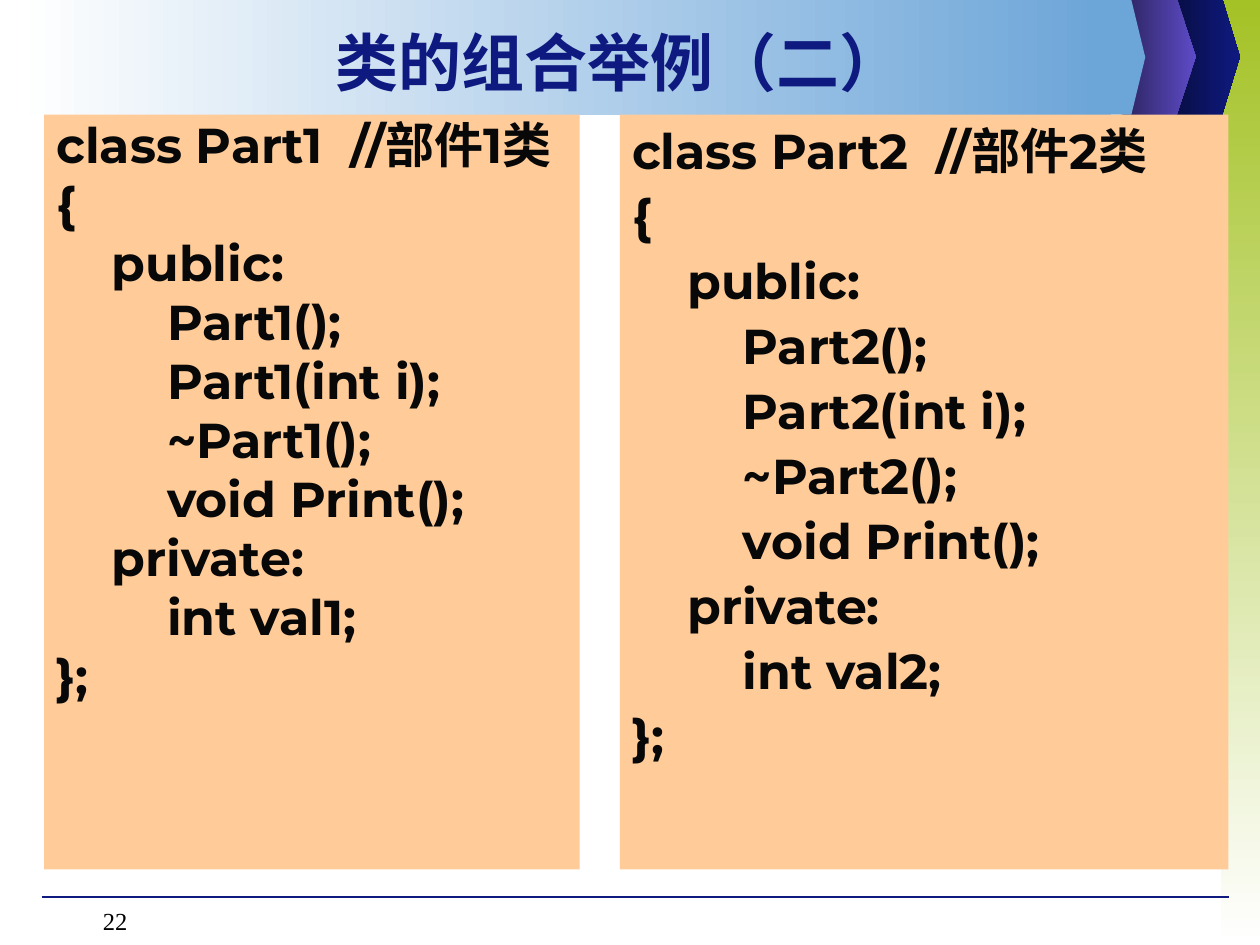
from dataclasses import dataclass

from lxml.etree import SubElement
from pptx import Presentation
from pptx.dml.color import RGBColor
from pptx.enum.shapes import MSO_CONNECTOR as Connector, MSO_SHAPE as Preset
from pptx.enum.text import MSO_ANCHOR as Anchor, PP_ALIGN as Align
from pptx.oxml.ns import qn
from pptx.util import Emu, Inches, Pt

# The slide is a grid of 100 columns by 75 rows
WIDTH, HEIGHT = Inches(10), Inches(7.5)
COLUMNS, ROWS = 100, 75
NAVY, SKY, PEACH, INK = "0F1A81", "6CA5D8", "FFCC99", "080808"
BAND_BOTTOM = 9.1
DOWN, RIGHTWARD = 270, 0


@dataclass
class Area:
    left: float
    top: float
    width: float
    height: float


@dataclass
class Chevron:
    left: float
    shoulder: float
    tip: float
    top: float
    colors: tuple[str, ...]


@dataclass
class TextStyle:
    size: float
    font: str
    color: str
    bold: bool = False
    align: Align = Align.LEFT


@dataclass
class CodePanel:
    area: Area
    number: int
    line_spacing: float


CHEVRONS = [
    Chevron(92.5, 97, 98.4, -0.1, ("070C3C", NAVY)),
    Chevron(89, 93.4, 94.9, -0.1, ("2B235C", "5D4BC7")),
]
BAND_END = Chevron(86.3, 89.8, 90.9, 0, (SKY,))
PANELS = [
    CodePanel(Area(3.5, 9.1, 42.5, 59.9), 1, 0.9),
    CodePanel(Area(49.2, 9.1, 48.3, 59.9), 2, 1.0),
]
TITLE_STYLE = TextStyle(36, "Noto Sans CJK SC", NAVY, True, Align.CENTER)
CODE_STYLE = TextStyle(28, "Montserrat", INK, True)
NUMBER_STYLE = TextStyle(14, "Times New Roman", "000000", False, Align.RIGHT)

CODE = """class Part{n}  //部件{n}类
{{
    public:
        Part{n}();
        Part{n}(int i);
        ~Part{n}();
        void Print();
    private:
        int val{n};
}};"""


def x(column: float) -> Emu:
    return Emu(round(WIDTH * column / COLUMNS))


def y(row: float) -> Emu:
    return Emu(round(HEIGHT * row / ROWS))


def place(area: Area) -> tuple[Emu, Emu, Emu, Emu]:
    return x(area.left), y(area.top), x(area.width), y(area.height)


def rgb(color: str) -> RGBColor:
    return RGBColor.from_string(color)


def paint(shape, colors: tuple[str, ...], angle: float = RIGHTWARD) -> None:
    """One colour gives a solid fill, two give a gradient."""
    shape.shadow.inherit = False
    shape.line.fill.background()
    if len(colors) == 1:
        shape.fill.solid()
        shape.fill.fore_color.rgb = rgb(colors[0])
        return
    shape.fill.gradient()
    shape.fill.gradient_angle = angle
    for stop, color in zip(shape.fill.gradient_stops, colors):
        stop.color.rgb = rgb(color)


def add_block(slide, area: Area, colors: tuple[str, ...], angle: float = RIGHTWARD):
    block = slide.shapes.add_shape(Preset.RECTANGLE, *place(area))
    paint(block, colors, angle)
    return block


def add_chevron(slide, chevron: Chevron) -> None:
    middle = (chevron.top + BAND_BOTTOM) / 2
    corners = [
        (chevron.shoulder, chevron.top),
        (chevron.tip, middle),
        (chevron.shoulder, BAND_BOTTOM),
        (chevron.left, BAND_BOTTOM),
    ]
    builder = slide.shapes.build_freeform(x(chevron.left), y(chevron.top))
    builder.add_line_segments([(x(column), y(row)) for column, row in corners])
    paint(builder.convert_to_shape(), chevron.colors)


def add_rule(slide, left: float, right: float, row: float) -> None:
    rule = slide.shapes.add_connector(Connector.STRAIGHT, x(left), y(row), x(right), y(row))
    rule.line.color.rgb = rgb(NAVY)
    rule.line.width = Pt(0.75)
    SubElement(rule._element.spPr, qn("a:effectLst"))


def write(box, text: str, style: TextStyle, anchor: Anchor = Anchor.TOP) -> None:
    frame = box.text_frame
    frame.word_wrap = True
    frame.vertical_anchor = anchor
    frame.text = text
    for para in frame.paragraphs:
        para.alignment = style.align
        for span in para.runs:
            span.font.size = Pt(style.size)
            span.font.bold = style.bold
            span.font.color.rgb = rgb(style.color)
            span.font.name = style.font
            east_asian = SubElement(span.font._element, qn("a:ea"))
            east_asian.set("typeface", "Noto Sans CJK SC")


def add_code_panel(slide, panel: CodePanel) -> None:
    box = add_block(slide, panel.area, (PEACH,))
    write(box, CODE.format(n=panel.number), CODE_STYLE)
    for index, para in enumerate(box.text_frame.paragraphs):
        para.line_spacing = panel.line_spacing
        para.space_before = Pt(3.5 if index else 0)


def main() -> None:
    deck = Presentation()
    deck.slide_width, deck.slide_height = WIDTH, HEIGHT
    page = deck.slides.add_slide(deck.slide_layouts[6])

    # Side strip, chevrons, footer rule and title band
    add_block(page, Area(96.9, 0, 3.1, ROWS), ("A4C226", "FFFFFF"), DOWN)
    for chevron in CHEVRONS:
        add_chevron(page, chevron)
    add_rule(page, 3.3, 97.5, 71.2)
    add_block(page, Area(1.2, 0, 87, BAND_BOTTOM), ("FFFFFF", SKY))
    add_chevron(page, BAND_END)

    # Title
    title = page.shapes.add_textbox(*place(Area(9, 1.4, 80.3, 6.9)))
    write(title, "类的组合举例（二）", TITLE_STYLE, Anchor.MIDDLE)

    # Class declarations
    for panel in PANELS:
        add_code_panel(page, panel)

    # Page number
    number = page.shapes.add_textbox(*place(Area(4.3, 71.4, 6.8, 3.6)))
    write(number, "22", NUMBER_STYLE)

    deck.save("out.pptx")


if __name__ == "__main__":
    main()
